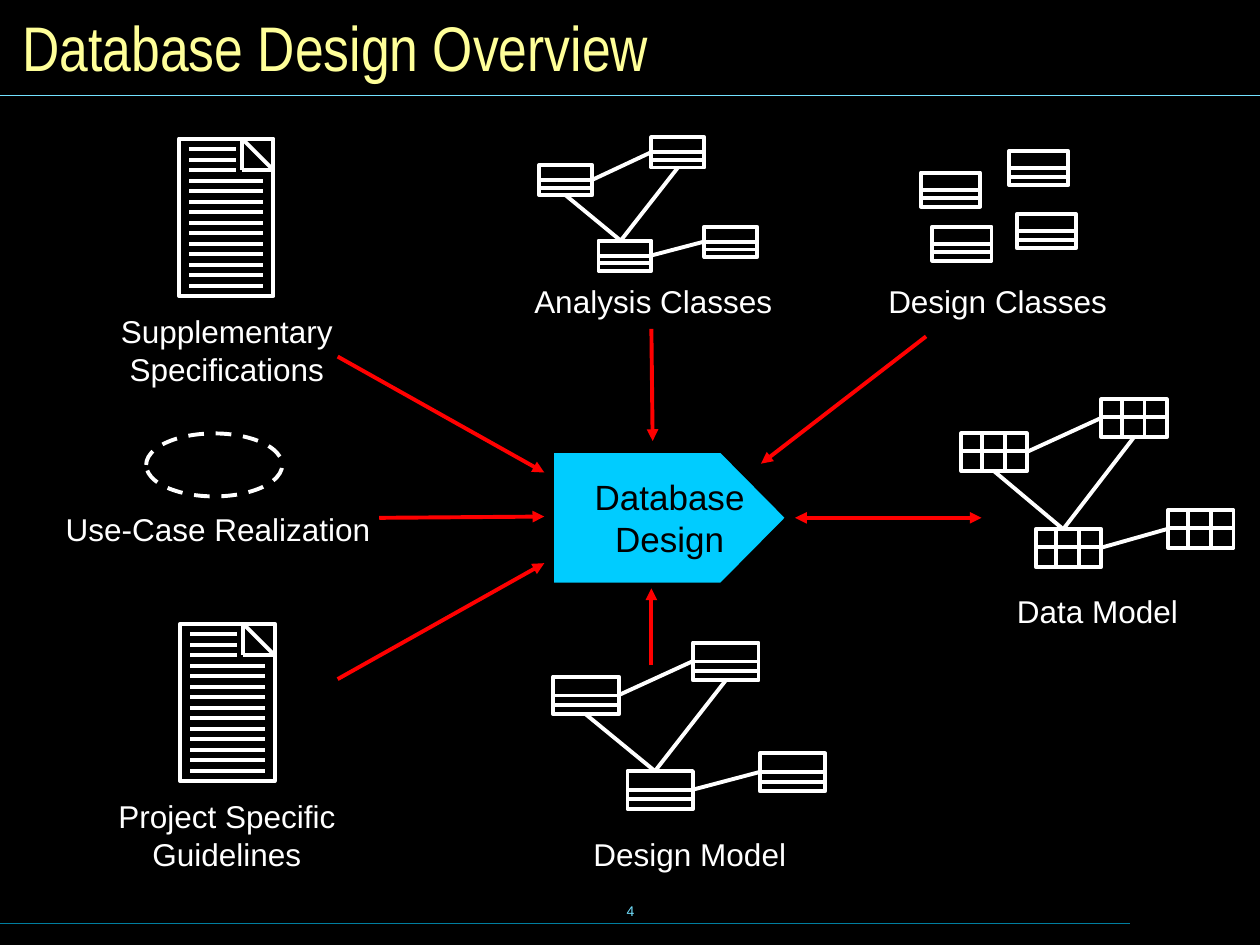
import pptx
import pptx.dml.color
import pptx.enum.dml
import pptx.enum.shapes
import pptx.enum.text
import pptx.util
from dataclasses import dataclass
from lxml import etree
from pptx.oxml.ns import qn
from pptx.util import Inches

WHITE, BLACK, RED = "FFFFFF", "000000", "FF0000"
SHAPE = pptx.enum.shapes.MSO_SHAPE
ALIGN = pptx.enum.text.PP_ALIGN
ANCHOR = pptx.enum.text.MSO_ANCHOR


@dataclass
class Box:
    x: float
    y: float
    w: float
    h: float

    def at(self, fx: float, fy: float) -> tuple:
        """Point at the given fractions of width and height."""
        return self.x + fx * self.w, self.y + fy * self.h

    def emu(self) -> list:
        return [Inches(v) for v in (self.x, self.y, self.w, self.h)]


@dataclass
class Label:
    box: Box
    paras: tuple
    size: float = 18
    color: str = WHITE
    font: str = "Arial"
    align: int = ALIGN.CENTER
    inset: bool = True
    middle: bool = False


@dataclass
class Arrow:
    start: tuple
    end: tuple
    both: bool = False


def rgb(code: str):
    return pptx.dml.color.RGBColor.from_string(code)


def stroke(line, color: str, width: float):
    line.color.rgb = rgb(color)
    line.width = pptx.util.Pt(width)


def draw_line(tree, start: tuple, end: tuple, color=WHITE, width=2.25, ends=()):
    kind = pptx.enum.shapes.MSO_CONNECTOR.STRAIGHT
    link = tree.add_connector(kind, *[Inches(v) for v in start + end])
    stroke(link.line, color, width)
    for tag in ends:
        etree.SubElement(link.line._get_or_add_ln(), qn(tag), type="triangle")
    etree.SubElement(link._element.spPr, qn("a:effectLst"))


def draw_frame(tree, box: Box, kind=SHAPE.RECTANGLE):
    shape = tree.add_shape(kind, *box.emu())
    shape.shadow.inherit = False
    shape.fill.background()
    stroke(shape.line, WHITE, 2.25)
    return shape


def write(frame, label: Label):
    """Put the label's paragraphs in a text frame; a newline is a line break."""
    frame.word_wrap = False
    frame.vertical_anchor = ANCHOR.MIDDLE if label.middle else ANCHOR.TOP
    if not label.inset:
        frame.margin_left = frame.margin_right = 0
        frame.margin_top = frame.margin_bottom = 0
    for i, text in enumerate(label.paras):
        para = frame.add_paragraph() if i else frame.paragraphs[0]
        para.alignment = label.align
        for j, part in enumerate(text.split("\n")):
            if j:
                para.add_line_break()
            run = para.add_run()
            run.text = part
            run.font.name = label.font
            run.font.size = pptx.util.Pt(label.size)
            run.font.color.rgb = rgb(label.color)


def draw_label(tree, label: Label):
    write(tree.add_textbox(*label.box.emu()).text_frame, label)


def draw_page(tree, x: float, y: float):
    """Document icon with a folded corner and 14 lines of text."""
    draw_frame(tree, Box(x, y, 0.75, 1.25))
    top, side, fold = (x + 0.5, y), (x + 0.75, y + 0.25), (x + 0.5, y + 0.25)
    for start, end in ((top, side), (top, fold), (side, fold)):
        draw_line(tree, start, end)
    for i in range(1, 15):
        row = y + i * 1.25 / 15
        right = x + (0.45 if i <= 3 else 0.67)
        draw_line(tree, (x + 0.08, row), (right, row))


def draw_cell(tree, box: Box, rows: tuple, cols: tuple):
    """Frame divided at the given fractions."""
    draw_frame(tree, box)
    for f in rows:
        draw_line(tree, box.at(0, f), box.at(1, f))
    for f in cols:
        draw_line(tree, box.at(f, 0), box.at(f, 1))


def draw_set(tree, spots: tuple, w: float, h: float, label: Label,
             rows=(0.5, 0.75), cols=(), linked=True):
    """Four cells, given as left, top, bottom and right, with their label."""
    cells = [Box(x, y, w, h) for x, y in spots]
    for cell in cells:
        draw_cell(tree, cell, rows, cols)
    if linked:
        left, top, base, right = cells
        hub = base.at(0.42, 0)
        draw_line(tree, hub, left.at(0.5, 1))
        draw_line(tree, hub, top.at(0.5, 1))
        draw_line(tree, left.at(1, 0.49), top.at(0, 0.49))
        draw_line(tree, base.at(1, 0.49), right.at(0, 0.49))
    draw_label(tree, label)


def draw_goal(tree):
    """Central pentagon that the arrows lead to."""
    box = Box(4.38, 3.58, 1.87, 1.06)
    spots = ((0, 0), (0.72, 0), (1, 0.5), (0.72, 1), (0, 1))
    pts = [tuple(Inches(v) for v in box.at(*spot)) for spot in spots]
    pen = tree.build_freeform(*pts[0])
    pen.add_line_segments(pts[1:], close=True)
    shape = pen.convert_to_shape()
    shape.shadow.inherit = False
    shape.fill.solid()
    shape.fill.fore_color.rgb = rgb("00CCFF")
    stroke(shape.line, BLACK, 2.25)
    write(shape.text_frame, Label(box, ("Database", "Design"), 20, BLACK, middle=True))


ARROWS = (
    Arrow((3.01, 4.11), (4.32, 4.1)),
    Arrow((7.35, 2.67), (6.04, 3.68)),
    Arrow((2.68, 2.83), (4.32, 3.75)),
    Arrow((2.68, 5.39), (4.32, 4.47)),
    Arrow((5.17, 2.61), (5.18, 3.5)),
    Arrow((5.17, 5.28), (5.17, 4.67)),
    Arrow((6.31, 4.11), (7.79, 4.11), both=True),
)


def main():
    deck = pptx.Presentation()
    deck.slide_width, deck.slide_height = Inches(10), Inches(7.5)
    slide = deck.slides.add_slide(deck.slide_layouts[6])
    slide.background.fill.solid()
    slide.background.fill.fore_color.rgb = rgb(BLACK)
    tree = slide.shapes

    draw_label(tree, Label(Box(3.42, 6.98, 3.17, 0.5), ("4",), 8, "73E1FF", middle=True))
    draw_line(tree, (0, 7.33), (8.97, 7.33), "007E9F", 0.75)
    draw_line(tree, (0, 0.76), (10, 0.76), "73E1FF", 0.75)
    draw_label(tree, Label(Box(0.08, 0.08, 9.84, 0.58), ("Database Design Overview",), 36,
                           "FFFF99", "Arial Narrow", ALIGN.LEFT, middle=True))

    for x, y, label in (
        (1.42, 1.1, Label(Box(0.86, 2.43, 1.88, 0.7), ("Supplementary", "Specifications"))),
        (1.43, 4.95, Label(Box(0.84, 6.28, 1.92, 0.7), ("Project Specific\nGuidelines",))),
    ):
        group = tree.add_group_shape().shapes
        draw_page(group, x, y)
        draw_label(group, label)

    group = tree.add_group_shape().shapes
    oval = draw_frame(group, Box(1.16, 3.44, 1.08, 0.5), SHAPE.OVAL)
    oval.line.dash_style = pptx.enum.dml.MSO_LINE.DASH
    draw_label(group, Label(Box(0.42, 4, 2.62, 0.4), ("Use-Case Realization",)))

    draw_goal(tree)
    draw_set(tree.add_group_shape().shapes,
             ((4.28, 1.31), (5.17, 1.09), (4.75, 1.91), (5.59, 1.8)), 0.42, 0.24,
             Label(Box(4.24, 2.24, 1.89, 0.3), ("Analysis Classes",),
                   align=ALIGN.LEFT, inset=False))
    draw_set(tree.add_group_shape().shapes,
             ((7.31, 1.37), (8.01, 1.2), (7.4, 1.8), (8.07, 1.7)), 0.47, 0.27,
             Label(Box(7.05, 2.24, 1.74, 0.3), ("Design Classes",),
                   align=ALIGN.LEFT, inset=False), linked=False)
    draw_set(tree.add_group_shape().shapes,
             ((4.39, 5.37), (5.5, 5.1), (4.98, 6.12), (6.03, 5.98)), 0.52, 0.3,
             Label(Box(4.61, 6.58, 1.73, 0.4), ("Design Model",)))
    draw_set(tree.add_group_shape().shapes,
             ((7.63, 3.44), (8.74, 3.17), (8.22, 4.2), (9.27, 4.05)), 0.52, 0.3,
             Label(Box(7.97, 4.65, 1.48, 0.4), ("Data Model",)),
             rows=(0.47,), cols=(0.31, 0.66))

    for arrow in ARROWS:
        ends = ("a:headEnd", "a:tailEnd") if arrow.both else ("a:tailEnd",)
        draw_line(tree, arrow.start, arrow.end, RED, ends=ends)
    deck.save("out.pptx")


if __name__ == "__main__":
    main()
